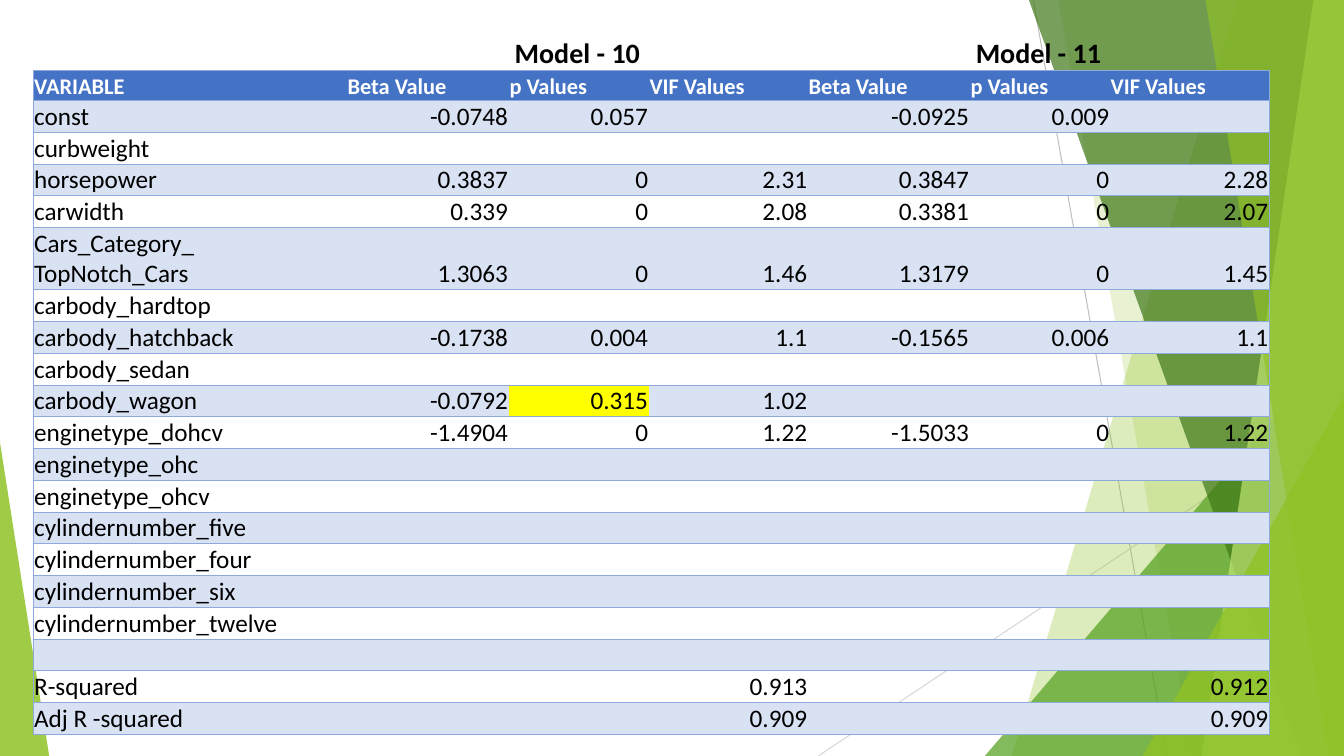
from dataclasses import dataclass

from lxml.etree import SubElement
from pptx import Presentation
from pptx.dml.color import RGBColor
from pptx.enum.shapes import MSO_CONNECTOR, MSO_SHAPE
from pptx.enum.text import MSO_ANCHOR, PP_ALIGN
from pptx.oxml.ns import qn
from pptx.util import Cm, Pt


@dataclass(frozen=True)
class Theme:
    font: str = "Calibri"
    title_size: int = 20
    header_size: int = 16
    body_size: int = 18
    black: str = "000000"
    white: str = "FFFFFF"
    header: str = "4472C4"
    band: str = "D9E2F3"
    highlight: str = "FFFF00"
    border: str = "8EAADC"
    green: str = "90C226"
    leaf: str = "54A021"
    forest: str = "3F7818"
    lime: str = "BFE471"
    ray_dark: str = "BFBFBF"
    ray_light: str = "D8D8D8"


THEME = Theme()
WIDTH, HEIGHT = 33.87, 19.05
NO_STYLE = "{2D5ABB26-0587-4C30-8999-92F81FD0307C}"
COLUMN_WIDTHS = [7.9] + [4.08, 3.53, 4.01] * 2
TITLE_HEIGHT, HEADER_HEIGHT, LINE_HEIGHT, TALL_HEIGHT = 0.94, 0.75, 0.8, 1.56
MODELS = ["Model - 10", "Model - 11"]
HEADERS = ["VARIABLE"] + ["Beta Value", "p Values", "VIF Values"] * 2
RESULTS = [
    ("const", "-0.0748", "0.057", "", "-0.0925", "0.009", ""),
    ("curbweight",),
    ("horsepower", "0.3837", "0", "2.31", "0.3847", "0", "2.28"),
    ("carwidth", "0.339", "0", "2.08", "0.3381", "0", "2.07"),
    ("Cars_Category_\nTopNotch_Cars", "1.3063", "0", "1.46", "1.3179", "0", "1.45"),
    ("carbody_hardtop",),
    ("carbody_hatchback", "-0.1738", "0.004", "1.1", "-0.1565", "0.006", "1.1"),
    ("carbody_sedan",),
    ("carbody_wagon", "-0.0792", "0.315", "1.02"),
    ("enginetype_dohcv", "-1.4904", "0", "1.22", "-1.5033", "0", "1.22"),
    ("enginetype_ohc",),
    ("enginetype_ohcv",),
    ("cylindernumber_five",),
    ("cylindernumber_four",),
    ("cylindernumber_six",),
    ("cylindernumber_twelve",),
    ("",),
    ("R-squared", "", "", "0.913", "", "", "0.912"),
    ("Adj R -squared", "", "", "0.909", "", "", "0.909"),
]
HIGHLIGHTED = ("carbody_wagon", 2)


def add_ray(slide, start, end, color):
    ray = slide.shapes.add_connector(
        MSO_CONNECTOR.STRAIGHT, *[Cm(value) for value in start + end])
    ray.line.color.rgb = RGBColor.from_string(color)
    ray.line.width = Pt(0.75)
    SubElement(ray._element.spPr, qn("a:effectLst"))


def paint(facet, color, opacity):
    facet.shadow.inherit = False
    facet.line.fill.background()
    facet.fill.solid()
    facet.fill.fore_color.rgb = RGBColor.from_string(color)
    tint = facet._element.spPr.find(qn("a:solidFill"))[0]
    SubElement(tint, qn("a:alpha"), val=str(opacity * 1000))


def add_panel(slide, top_x, bottom_x, color, opacity):
    outline = slide.shapes.build_freeform(Cm(top_x), 0)
    outline.add_line_segments([
        (Cm(WIDTH), 0), (Cm(WIDTH), Cm(HEIGHT)), (Cm(bottom_x), Cm(HEIGHT))])
    paint(outline.convert_to_shape(), color, opacity)


def add_wedge(slide, left, top, width, apex, color, opacity):
    wedge = slide.shapes.add_shape(
        MSO_SHAPE.ISOSCELES_TRIANGLE, Cm(left), Cm(top), Cm(width), Cm(HEIGHT - top))
    wedge.adjustments[0] = apex
    paint(wedge, color, opacity)


def add_backdrop(slide):
    add_ray(slide, (26.04, 0), (29.41, HEIGHT), THEME.ray_dark)
    add_ray(slide, (WIDTH, 10.24), (20.62, HEIGHT), THEME.ray_light)
    add_panel(slide, 31.19, 25.5, THEME.green, 30)
    add_panel(slide, 26.67, 30.05, THEME.green, 20)
    add_wedge(slide, 24.82, 8.46, 9.05, 1, THEME.leaf, 72)
    add_panel(slide, 25.93, 32.79, THEME.forest, 70)
    add_panel(slide, 33.1, 30.28, THEME.lime, 70)
    add_panel(slide, 30.38, 33.48, THEME.green, 65)
    add_wedge(slide, 28.8, 9.98, 5.07, 1, THEME.green, 80)
    add_wedge(slide, 0, 11.15, 1.24, 0, THEME.green, 85)


def set_borders(cell, sides):
    properties = cell._tc.get_or_add_tcPr()
    for position, side in enumerate(sides):
        edge = properties.makeelement(qn(f"a:ln{side}"), {"w": str(Pt(0.5))})
        fill = SubElement(edge, qn("a:solidFill"))
        SubElement(fill, qn("a:srgbClr"), val=THEME.border)
        properties.insert(position, edge)


def fill_cell(cell, text, size, align, fill=None, color=THEME.black, bold=False,
              anchor=MSO_ANCHOR.BOTTOM):
    cell.margin_left = cell.margin_right = cell.margin_top = Cm(0.02)
    cell.margin_bottom = 0
    cell.vertical_anchor = anchor
    cell.text = text
    for paragraph in cell.text_frame.paragraphs:
        paragraph.alignment = align
        paragraph.font.name = THEME.font
        paragraph.font.size = Pt(size)
        paragraph.font.bold = bold
        paragraph.font.color.rgb = RGBColor.from_string(color)
    if fill:
        cell.fill.solid()
        cell.fill.fore_color.rgb = RGBColor.from_string(fill)
    else:
        cell.fill.background()


def add_result_row(table, row, result):
    variable = result[0]
    band = THEME.band if row % 2 == 0 else None
    for column in range(len(HEADERS)):
        text = result[column] if column < len(result) else ""
        fill = THEME.highlight if (variable, column) == HIGHLIGHTED else band
        align = PP_ALIGN.RIGHT if column else PP_ALIGN.LEFT
        fill_cell(table.cell(row, column), text, THEME.body_size, align, fill)


def add_comparison(slide):
    heights = [TITLE_HEIGHT, HEADER_HEIGHT] + [
        TALL_HEIGHT if "\n" in result[0] else LINE_HEIGHT for result in RESULTS]
    frame = slide.shapes.add_table(
        len(heights), len(HEADERS), Cm(0.84), Cm(0.84),
        Cm(sum(COLUMN_WIDTHS)), Cm(sum(heights)))
    table = frame.table
    table.first_row = table.horz_banding = False
    table._tbl.tblPr.find(qn("a:tableStyleId")).text = NO_STYLE
    for column, width in zip(table.columns, COLUMN_WIDTHS):
        column.width = Cm(width)
    for row, height in zip(table.rows, heights):
        row.height = Cm(height)

    fill_cell(table.cell(0, 0), "", THEME.title_size, PP_ALIGN.LEFT)
    for model, column in zip(MODELS, (1, 4)):
        title = table.cell(0, column)
        title.merge(table.cell(0, column + 2))
        fill_cell(title, model, THEME.title_size, PP_ALIGN.CENTER, bold=True)
    for column, header in enumerate(HEADERS):
        fill_cell(table.cell(1, column), header, THEME.header_size, PP_ALIGN.LEFT,
                  THEME.header, THEME.white, True)
    for row, result in enumerate(RESULTS, start=2):
        add_result_row(table, row, result)

    for row in range(len(heights)):
        for column in range(len(HEADERS)):
            left = "L" if row and column == 0 else ""
            right = "R" if row and column == len(HEADERS) - 1 else ""
            top = "T" if row else ""
            set_borders(table.cell(row, column), left + right + top + "B")


def main():
    presentation = Presentation()
    presentation.slide_width = Cm(WIDTH)
    presentation.slide_height = Cm(HEIGHT)
    slide = presentation.slides.add_slide(presentation.slide_layouts[6])
    add_backdrop(slide)
    add_comparison(slide)
    presentation.save("out.pptx")


if __name__ == "__main__":
    main()
